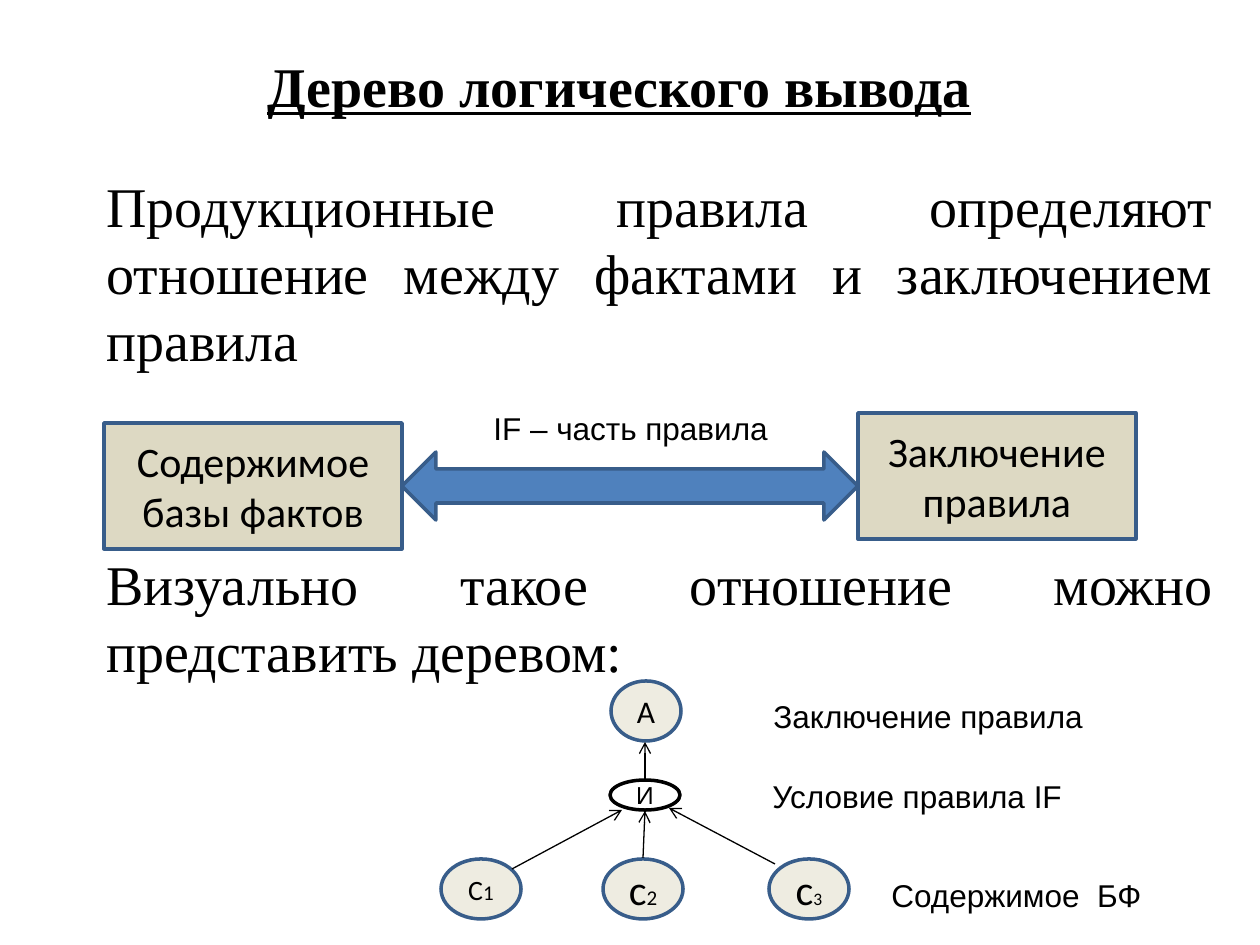
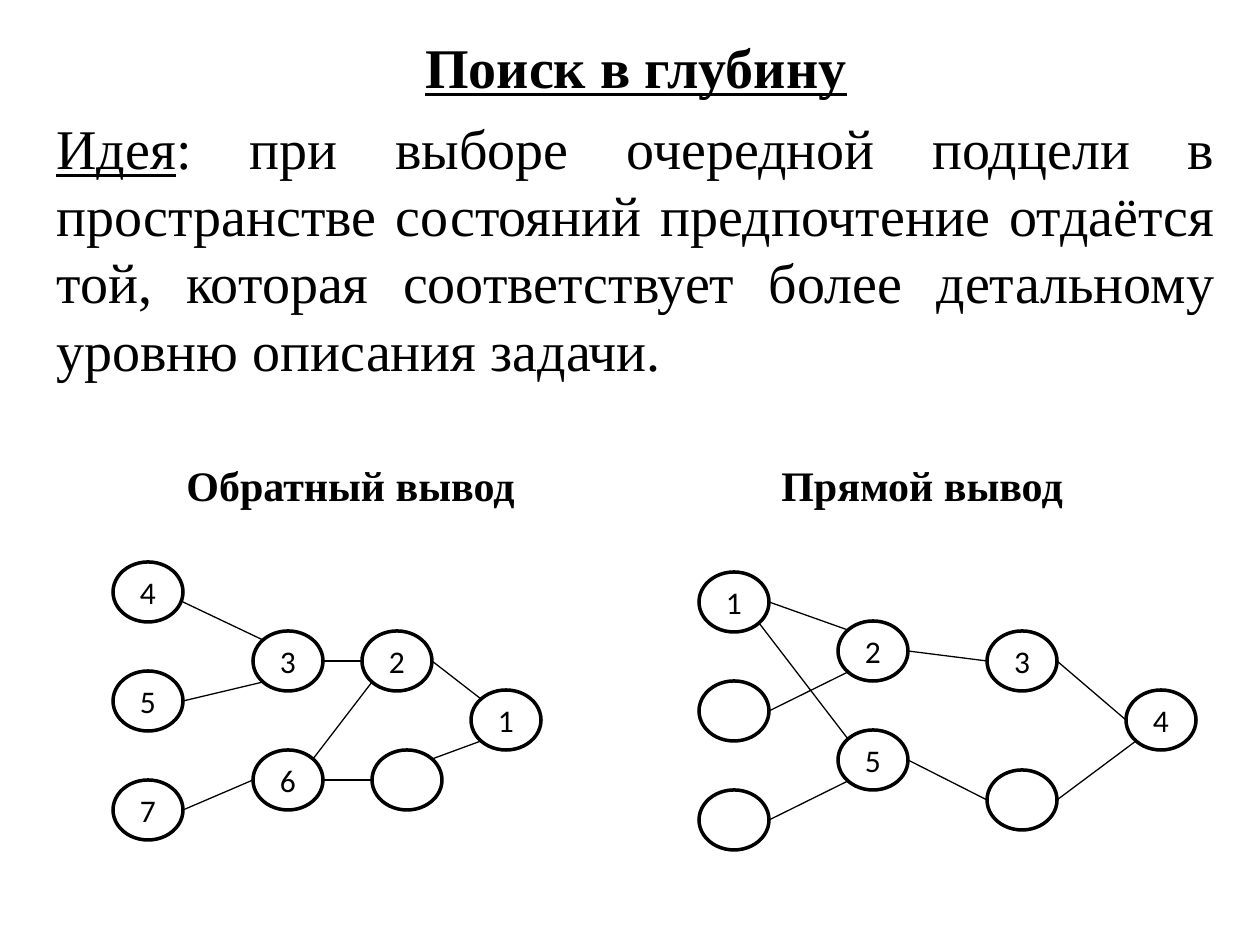
from dataclasses import dataclass
from math import sqrt
from lxml.etree import SubElement
from pptx import Presentation
from pptx.dml.color import RGBColor as RGB
from pptx.enum.shapes import MSO_CONNECTOR as CONN, MSO_SHAPE as SHAPE
from pptx.enum.text import MSO_ANCHOR as ANCHOR, PP_ALIGN as ALIGN
from pptx.oxml.ns import qn
from pptx.util import Emu, Pt


@dataclass(frozen=True)
class Theme:
    """Hold the colours, fonts and type sizes."""
    black: str = "000000"
    white: str = "FFFFFF"
    sand: str = "DDD9C3"
    cream: str = "EEECE1"
    blue: str = "4F81BD"
    navy: str = "385D8A"
    serif: str = "Times New Roman"
    sans: str = "Calibri"
    label_font: str = "Arial"
    body: int = 32
    heading: int = 24
    label: int = 18
    small: int = 14
    outline: float = 2
    thin: float = 0.75


T = Theme()
PX = 914400 / 126
NODE_W, NODE_H = 70, 60

TREE_TITLE = "Дерево логического вывода"
TREE_BODY = [
    ("Продукционные правила определяют отношение между фактами и заключением правила", 0),
    ("Визуально такое отношение можно представить деревом:", 101),
]
RULE_BOXES = [
    ("Содержимое базы фактов", (104, 423, 298, 126)),
    ("Заключение правила", (858, 413, 278, 126)),
]
RULE_ARROW = (402, 452, 456, 68)
LABELS = [
    ("IF – часть правила", (481, 403, 302, 50), True),
    ("Условие правила IF", (760, 771, 316, 50), False),
    ("Содержимое  БФ", (879, 870, 276, 50), False),
    ("Заключение правила", (761, 691, 335, 50), False),
]
CONCLUSION = ("А", (611, 681, NODE_W, NODE_H))
CONDITION = ("И", (610, 780, NODE_W, 30))
FACT_TOP, FACT_W = 859, 80
FACTS = [(441, "С", 16, "1", 12), (603, "с", 24, "2", 12), (769, "с", 24, "3", 10)]
TREE_ARROWS = [
    ((512, 869), (622, 810)),
    ((643, 858), (645, 811)),
    ((775, 864), (669, 808)),
    ((645, 779), (645, 742)),
]

SEARCH_TITLE = "Поиск в глубину"
IDEA = "Идея"
IDEA_TEXT = (": при выборе очередной подцели в пространстве состояний предпочтение отдаётся "
             "той, которая соответствует более детальному уровню описания задачи.")
GRAPHS = [
    {
        "heading": ("Обратный вывод", (174, 453, 367, 63)),
        "nodes": {"4": (113, 562), "5": (113, 671), "7": (113, 780), "3": (253, 631),
                  "6": (253, 750), "2": (362, 631), "empty": (372, 750), "1": (471, 690)},
        "edges": [("2", "right", "1", "top left"), ("1", "bottom left", "empty", "top right"),
                  ("2", "left", "3", "right"), ("2", "bottom left", "6", "top right"),
                  ("empty", "left", "6", "right"), ("3", "top left", "4", "right", 10),
                  ("3", "bottom left", "5", "right"), ("6", "left", "7", "right")],
    },
    {
        "heading": ("Прямой вывод", (769, 453, 338, 63)),
        "nodes": {"1": (699, 572), "empty upper": (699, 681), "empty lower": (699, 790),
                  "2": (838, 621), "5": (838, 730), "3": (987, 631),
                  "empty right": (987, 770), "4": (1126, 690)},
        "edges": [("1", "right", "2", "top left"), ("1", "bottom right", "5", "top left"),
                  ("2", "right", "3", "left"), ("empty upper", "right", "2", "bottom left"),
                  ("empty lower", "right", "5", "bottom left"),
                  ("5", "right", "empty right", "left"), ("3", "right", "4", "left"),
                  ("empty right", "right", "4", "bottom left")],
    },
]


def px(*values):
    """Turn pixel lengths into EMU."""
    return [Emu(round(v * PX)) for v in values]


def add_run(p, text, size, font, bold=False, underline=False):
    """Append one styled run."""
    r = p.add_run()
    r.text = text
    f = r.font
    f.size, f.name, f.bold, f.underline = Pt(size), font, bold, underline
    f.color.rgb = RGB.from_string(T.black)


def add_text(s, box, wrap=True, anchor=ANCHOR.TOP):
    """Add an empty text box and return its frame."""
    tf = s.shapes.add_textbox(*px(*box)).text_frame
    tf.word_wrap, tf.vertical_anchor = wrap, anchor
    return tf


def set_body(p, align, before=0):
    """Apply the alignment and the space before a paragraph."""
    p.alignment, p.space_before = align, Pt(before)


def add_title(p, text):
    """Write the shared slide title."""
    set_body(p, ALIGN.CENTER)
    add_run(p, text, T.body, T.serif, True, True)


def add_figure(s, kind, box, fill, line, runs=()):
    """Add an outlined shape with centred (text, size, font) runs."""
    sp = s.shapes.add_shape(kind, *px(*box))
    sp.shadow.inherit = False
    sp.fill.solid()
    sp.fill.fore_color.rgb = RGB.from_string(fill)
    sp.line.color.rgb = RGB.from_string(line)
    sp.line.width = Pt(T.outline)
    tf = sp.text_frame
    tf.vertical_anchor = ANCHOR.MIDDLE
    tf.paragraphs[0].alignment = ALIGN.CENTER
    for run in runs:
        add_run(tf.paragraphs[0], *run)


def add_line(s, start, end, arrow=False):
    """Draw a thin line, with an open head at its end if asked."""
    c = s.shapes.add_connector(CONN.STRAIGHT, *px(*start, *end))
    c.line.color.rgb = RGB.from_string(T.black)
    c.line.width = Pt(T.thin)
    if arrow:
        SubElement(c._element.spPr.find(qn("a:ln")), qn("a:tailEnd"), type="arrow")
    SubElement(c._element.spPr, qn("a:effectLst"))


def rim_point(corner, side):
    """Find the point on a node's rim that lies toward the named side."""
    dx = ("right" in side) - ("left" in side)
    dy = ("bottom" in side) - ("top" in side)
    reach = 1 / sqrt(dx * dx + dy * dy)
    x, y = corner
    return (round(x + NODE_W / 2 * (1 + dx * reach)),
            round(y + NODE_H / 2 * (1 + dy * reach)))


def build_tree(s):
    """Build the inference tree slide."""
    add_title(add_text(s, (84, 35, 1071, 100), anchor=ANCHOR.MIDDLE).paragraphs[0], TREE_TITLE)
    tf = add_text(s, (94, 165, 1132, 764))
    for i, (text, before) in enumerate(TREE_BODY):
        p = tf.add_paragraph() if i else tf.paragraphs[0]
        set_body(p, ALIGN.JUSTIFY, before)
        add_run(p, text, T.body, T.serif)
    for text, box in RULE_BOXES:
        add_figure(s, SHAPE.RECTANGLE, box, T.sand, T.navy, [(text, T.heading, T.sans)])
    add_figure(s, SHAPE.LEFT_RIGHT_ARROW, RULE_ARROW, T.blue, T.navy)
    text, box = CONCLUSION
    add_figure(s, SHAPE.OVAL, box, T.cream, T.navy, [(text, T.label, T.sans)])
    for x, letter, size, index, index_size in FACTS:
        add_figure(s, SHAPE.OVAL, (x, FACT_TOP, FACT_W, NODE_H), T.cream, T.navy,
                   [(letter, size, T.sans), (index, index_size, T.sans)])
    text, box = CONDITION
    add_figure(s, SHAPE.OVAL, box, T.white, T.black, [(text, T.small, T.label_font)])
    for start, end in TREE_ARROWS:
        add_line(s, start, end, arrow=True)
    for text, box, wrap in LABELS:
        add_run(add_text(s, box, wrap).paragraphs[0], text, T.label, T.label_font)


def build_graph(s, heading, nodes, edges):
    """Draw one search graph under its heading."""
    text, box = heading
    add_run(add_text(s, box).paragraphs[0], text, T.heading, T.serif, True)
    for name, corner in nodes.items():
        runs = [(name, T.label, T.sans)] if name.isdigit() else []
        add_figure(s, SHAPE.OVAL, (*corner, NODE_W, NODE_H), T.white, T.black, runs)
    for first, side, second, other_side, *drop in edges:
        x, y = rim_point(nodes[second], other_side)
        add_line(s, rim_point(nodes[first], side), (x, y + sum(drop)))


def build_search(s):
    """Build the depth-first search slide."""
    tf = add_text(s, (44, 26, 1184, 853))
    add_title(tf.paragraphs[0], SEARCH_TITLE)
    p = tf.add_paragraph()
    set_body(p, ALIGN.JUSTIFY, 8)
    add_run(p, IDEA, T.body, T.serif, underline=True)
    add_run(p, IDEA_TEXT, T.body, T.serif)
    for graph in GRAPHS:
        build_graph(s, **graph)


def main():
    """Build and save the presentation."""
    prs = Presentation()
    prs.slide_width, prs.slide_height = px(1260, 945)
    for build in (build_tree, build_search):
        build(prs.slides.add_slide(prs.slide_layouts[6]))
    prs.save("out.pptx")


if __name__ == "__main__":
    main()
